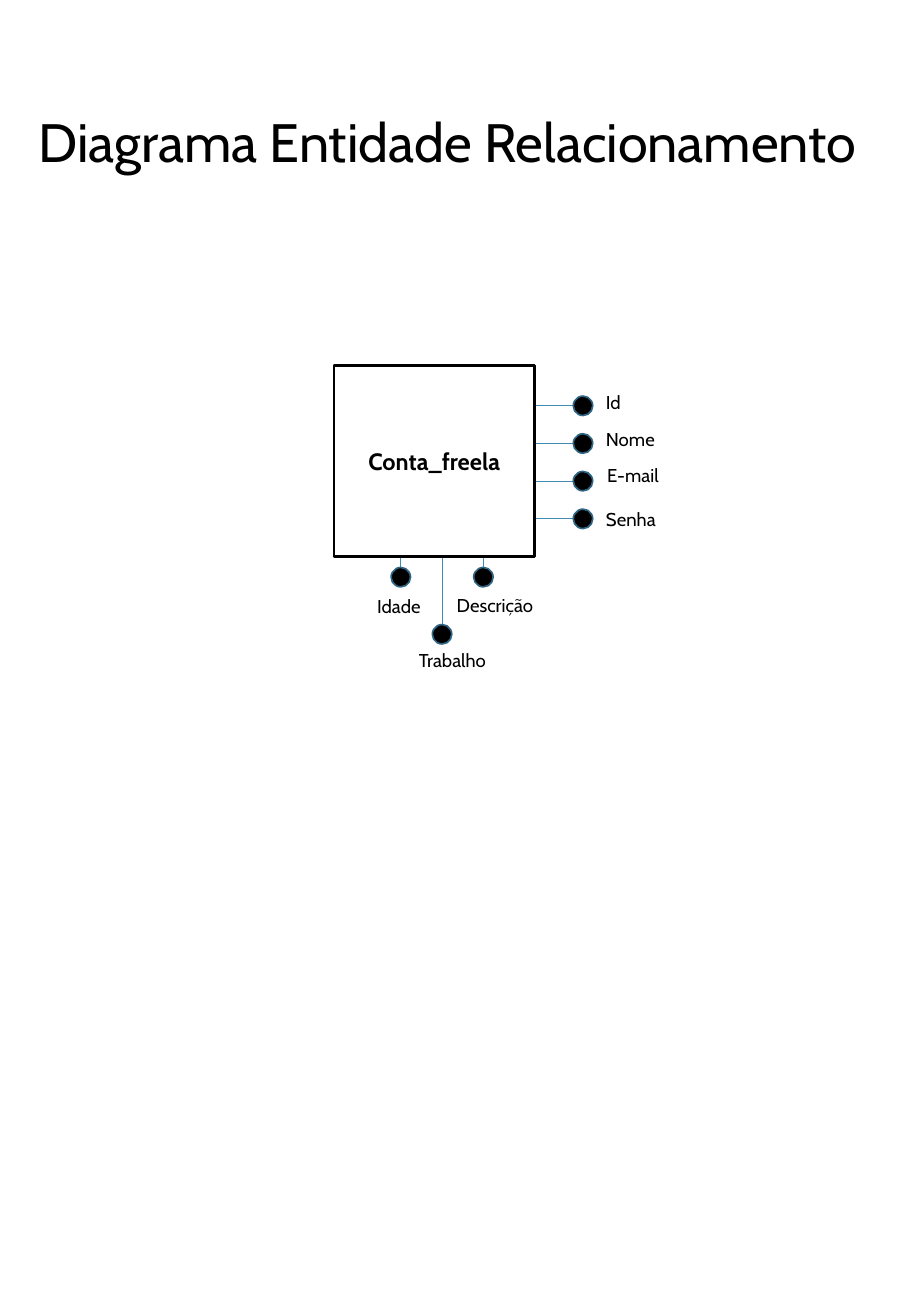
from lxml.etree import SubElement
from pptx import Presentation
from pptx.dml.color import RGBColor
from pptx.enum.shapes import MSO_CONNECTOR, MSO_SHAPE
from pptx.enum.text import MSO_ANCHOR, MSO_AUTO_SIZE, PP_ALIGN
from pptx.oxml.ns import qn
from pptx.util import Pt

PX = 9144  # 100 px to the inch
COLORS = {"ink": "000000", "paper": "FFFFFF", "link": "418AB3", "dot_edge": "306684"}
DOT = 16
RADIUS = DOT // 2
LINK_LENGTH = 55
LABEL_HEIGHT = 29


def color(name):
    return RGBColor.from_string(COLORS[name])


def write(shape, text, size, align, anchor=MSO_ANCHOR.TOP, bold=False):
    frame = shape.text_frame
    frame.text = text
    frame.word_wrap = True
    frame.vertical_anchor = anchor
    paragraph = frame.paragraphs[0]
    paragraph.alignment = align
    font = paragraph.runs[0].font
    font.name, font.size, font.bold = "Cabin", Pt(size), bold
    font.color.rgb = color("ink")


prs = Presentation()
prs.slide_width, prs.slide_height = 750 * PX, 1083 * PX
slide = prs.slides.add_slide(prs.slide_layouts[5])
shapes = slide.shapes

title = shapes.title
title.left, title.top, title.width, title.height = 0, 84 * PX, 737 * PX, 64 * PX
write(title, "Diagrama Entidade Relacionamento", 32, PP_ALIGN.CENTER)
title.text_frame.auto_size = MSO_AUTO_SIZE.SHAPE_TO_FIT_TEXT

# Attribute, dot centre, far end of its link, label left, top and width, alignment
attributes = []
side_labels = [("Id", 489, 317, 51), ("Nome", 489, 347, 83),
               ("E-mail", 490, 377, 71), ("Senha", 489, 413, 71)]
for row, (name, left, top, width) in enumerate(side_labels):
    x, y = 480, 334 + 31 * row
    attributes.append((name, (x, y), (x - LINK_LENGTH, y), (left, top, width), PP_ALIGN.LEFT))

lower_labels = [("Idade", 475, 364, 283, 485), ("Trabalho", 522, 412, 327, 529),
                ("Descrição", 475, 435, 362, 484)]
for column, (name, y, link_end, left, top) in enumerate(lower_labels):
    x = 330 + 34 * column
    attributes.append((name, (x, y), (x, link_end), (left, top, 91), PP_ALIGN.CENTER))

# Links lie under the dots, and the entity covers their far ends
for name, start, end, label, align in attributes:
    link = shapes.add_connector(MSO_CONNECTOR.STRAIGHT, *(n * PX for n in start + end))
    link.line.color.rgb = color("link")
    link.line.width = Pt(0.5)
    SubElement(link._element.spPr, qn("a:effectLst"))

for name, (x, y), end, label, align in attributes:
    dot = shapes.add_shape(MSO_SHAPE.FLOWCHART_CONNECTOR, (x - RADIUS) * PX, (y - RADIUS) * PX,
                           DOT * PX, DOT * PX)
    dot.shadow.inherit = False
    dot.fill.solid()
    dot.fill.fore_color.rgb = color("ink")
    dot.line.color.rgb = color("dot_edge")
    dot.line.width = Pt(1)

entity = shapes.add_shape(MSO_SHAPE.RECTANGLE, 275 * PX, 301 * PX, 165 * PX, 157 * PX)
entity.shadow.inherit = False
entity.fill.solid()
entity.fill.fore_color.rgb = color("paper")
entity.line.color.rgb = color("ink")
entity.line.width = Pt(1.5)
write(entity, "Conta_freela", 14, PP_ALIGN.CENTER, MSO_ANCHOR.MIDDLE, bold=True)

for name, start, end, (left, top, width), align in attributes:
    label = shapes.add_textbox(left * PX, top * PX, width * PX, LABEL_HEIGHT * PX)
    write(label, name, 11, align)
    label.text_frame.auto_size = MSO_AUTO_SIZE.SHAPE_TO_FIT_TEXT

prs.save("out.pptx")
